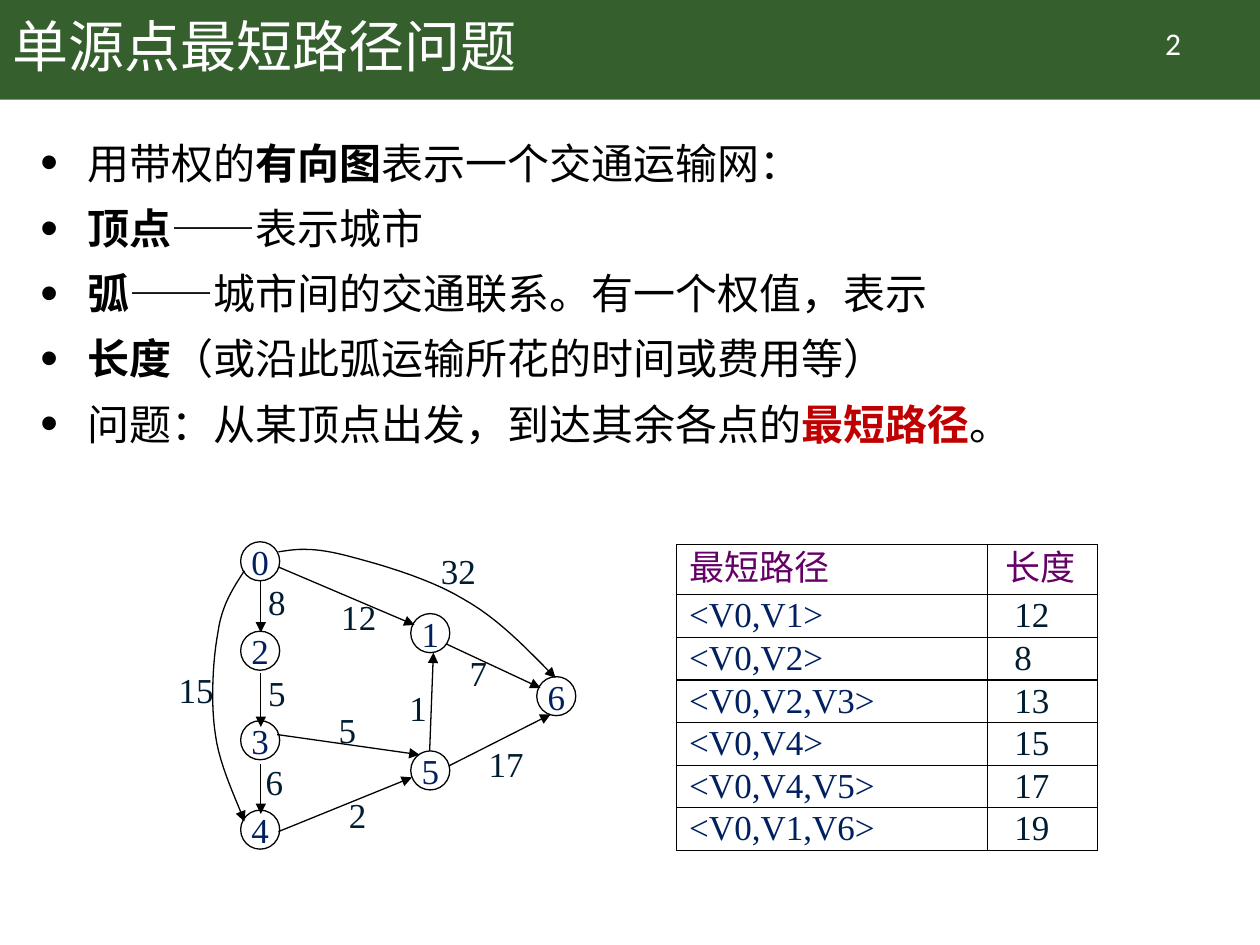
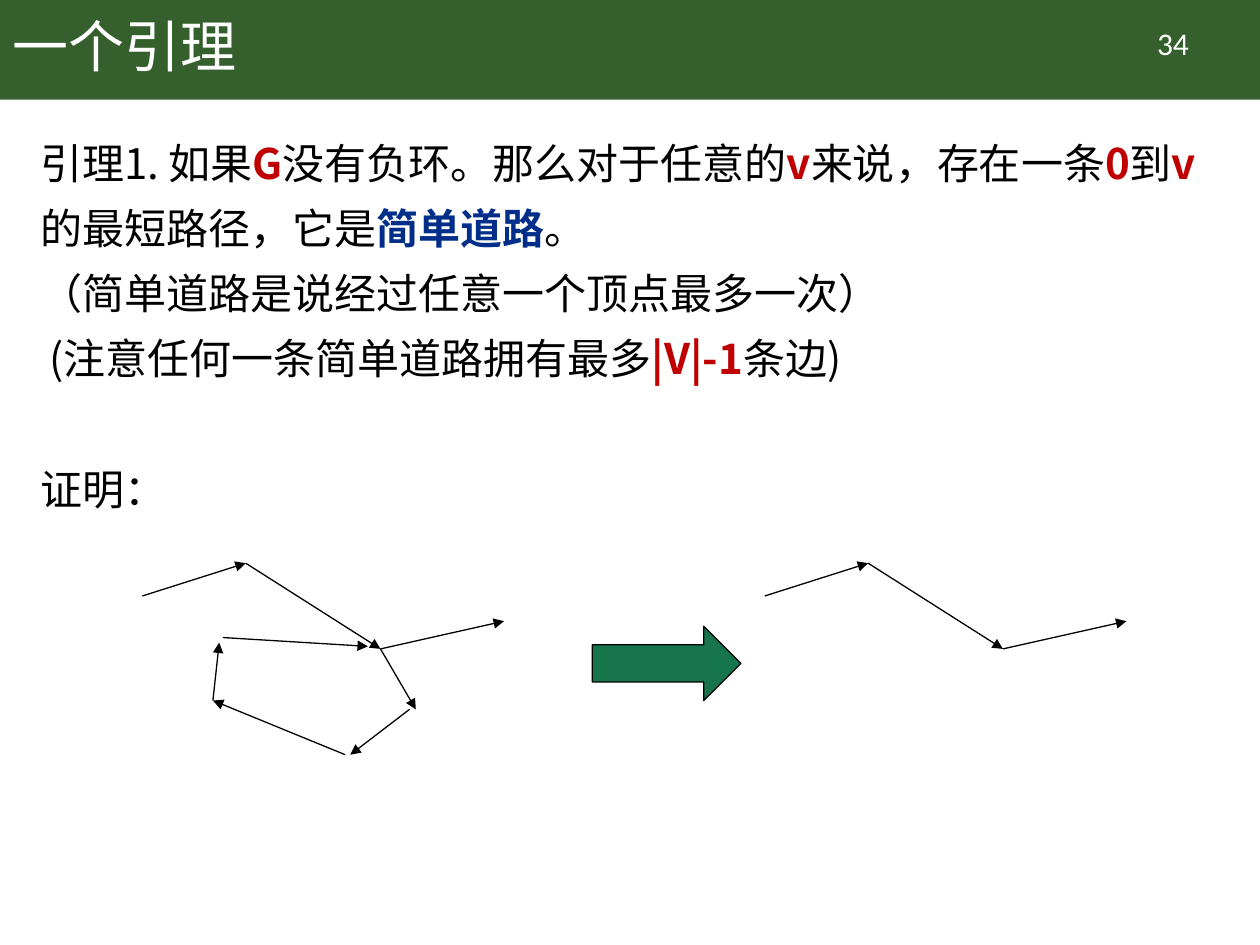
from lxml import etree
from pptx import Presentation
from pptx.dml.color import RGBColor
from pptx.enum.shapes import MSO_CONNECTOR, MSO_SHAPE
from pptx.enum.text import MSO_ANCHOR, MSO_AUTO_SIZE, PP_ALIGN
from pptx.oxml.ns import qn
from pptx.util import Inches, Pt

STRAIGHT = MSO_CONNECTOR.STRAIGHT
RECTANGLE, OVAL, RIGHT_ARROW = MSO_SHAPE.RECTANGLE, MSO_SHAPE.OVAL, MSO_SHAPE.RIGHT_ARROW
MIDDLE, TOP = MSO_ANCHOR.MIDDLE, MSO_ANCHOR.TOP
LEFT, CENTER = PP_ALIGN.LEFT, PP_ALIGN.CENTER
NO_AUTOFIT = MSO_AUTO_SIZE.NONE

# Shared style
COLORS = {"band": "365F2E", "white": "FFFFFF", "black": "000000", "red": "C00000",
          "blue": "002E89", "navy": "002060", "ink": "001C30", "purple": "660066",
          "arrow": "16754D"}
CJK, SERIF, SANS = "Noto Sans CJK SC", "Times New Roman", "Calibri"
SLIDE_WIDTH, SLIDE_HEIGHT, BAND_HEIGHT = 10, 7.5, 0.79
TITLE_BOX = (0, 0, 8.62, BAND_HEIGHT)
BODY_BOX = (0.22, 0.88, 9.57, 6.47)
NUMBER_BOX = (8.71, 0.14, 1.2, 0.4)
BODY_PITCH = 37.3
LINE_WIDTH = 0.75

# Slide 1 content: a run is plain text or (text, colour) for bold
PROBLEM_TITLE, PROBLEM_NUMBER = "单源点最短路径问题", "2"
PROBLEM_BODY = [
    ["用带权的", ("有向图", "black"), "表示一个交通运输网："],
    [("顶点", "black"), "——表示城市"],
    [("弧", "black"), "——城市间的交通联系。有一个权值，表示"],
    [("长度", "black"), "（或沿此弧运输所花的时间或费用等）"],
    ["问题：从某顶点出发，到达其余各点的", ("最短路径", "red"), "。"],
]
PATH_TABLE = [
    ("最短路径", "长度"),
    ("<V0,V1>", "12"), ("<V0,V2>", "8"), ("<V0,V2,V3>", "13"),
    ("<V0,V4>", "15"), ("<V0,V4,V5>", "17"), ("<V0,V1,V6>", "19"),
]
TABLE_BOX = (5.37, 4.32, 3.34, 2.43)
TABLE_COLUMNS = (2.47, 0.87)
HEADER_HEIGHT = 0.4

NODE_SIZE = 0.31
COLUMN_LEFT, COLUMN_TOP, COLUMN_STEP = 1.91, 4.3, 0.71
VERTICES = {name: (COLUMN_LEFT, COLUMN_TOP + row * COLUMN_STEP)
            for row, name in enumerate("0234")}
VERTICES.update({"1": (3.26, 4.87), "5": (3.26, 5.96), "6": (4.26, 5.37)})
# (start, end, weight, label corner)
STRAIGHT_EDGES = [
    ((2.07, 4.61), (2.07, 5.02), "8", (2.03, 4.56)),
    ((2.07, 5.34), (2.07, 5.77), "5", (2.03, 5.28)),
    ((2.07, 6.06), (2.07, 6.46), "6", (2.01, 5.99)),
    ((2.21, 4.5), (3.29, 4.96), "12", (2.61, 4.68)),
    ((3.54, 5.11), (4.29, 5.46), "7", (3.63, 5.12)),
    ((2.21, 6.6), (3.27, 6.17), "2", (2.67, 6.25)),
    ((3.56, 6.08), (4.37, 5.67), "17", (3.78, 5.84)),
    ((3.41, 5.96), (3.44, 5.18), "1", (3.15, 5.4)),
    ((2.2, 5.83), (3.33, 5.99), "5", (2.59, 5.57)),
]
# (chained Bezier points, weight, label corner)
CURVED_EDGES = [
    ([(1.94, 4.53), (1.85, 4.67), (1.76, 4.8), (1.73, 5.02), (1.69, 5.23),
      (1.67, 5.58), (1.71, 5.83), (1.74, 6.08), (1.9, 6.4), (1.94, 6.52)],
     "15", (1.32, 5.26)),
    ([(2.21, 4.38), (2.34, 4.36), (2.46, 4.34), (2.71, 4.4), (2.95, 4.46),
      (3.39, 4.58), (3.67, 4.75), (3.96, 4.91), (4.18, 5.15), (4.41, 5.38)],
     "32", (3.4, 4.31)),
]

# Slide 2 content
LEMMA_TITLE, LEMMA_NUMBER = "一个引理", "34"
LEMMA_BODY = [
    ["引理1. 如果", ("G", "red"), "没有负环。那么对于任意的", ("v", "red"),
     "来说，存在一条", ("0", "red"), "到", ("v", "red"), "的最短路径，它是",
     ("简单道路", "blue"), "。\v（简单道路是说经过任意一个顶点最多一次）"],
    [" (注意任何一条简单道路拥有最多", ("|V|-1", "red"), "条边)"],
    ["证明："],
]
SIMPLE_PATH = [(1.13, 4.73), (1.95, 4.47), (3.02, 5.15), (4, 4.93)]
CYCLE = [((3.02, 5.15), (3.3, 5.63)), ((3.25, 5.63), (2.78, 5.99)),
         ((2.74, 5.99), (1.69, 5.56)), ((1.69, 5.56), (1.74, 5.1)),
         ((1.77, 5.06), (2.92, 5.13))]
RESULT_SHIFT = 4.94
ARROW_BOX = (4.7, 4.97, 1.18, 0.59)


def color(name):
    return RGBColor.from_string(COLORS[name])


def inches(values):
    return [Inches(value) for value in values]


def style(paragraph, size, color_name, font_name, align=LEFT):
    paragraph.alignment = align
    font = paragraph.font
    font.size, font.name, font.bold = Pt(size), font_name, False
    font.color.rgb = color(color_name)
    properties = paragraph._p.pPr.find(qn("a:defRPr"))
    etree.SubElement(properties, qn("a:ea")).set("typeface", CJK)


def place(shape, box):
    shape.left, shape.top, shape.width, shape.height = inches(box)


def outline(shape):
    shape.line.color.rgb = color("black")
    shape.line.width = Pt(LINE_WIDTH)


def add_arrowhead(shape):
    etree.SubElement(shape.line._get_or_add_ln(), qn("a:tailEnd")).set("type", "triangle")


def add_shape(slide, kind, box, fill=None):
    shape = slide.shapes.add_shape(kind, *inches(box))
    shape.shadow.inherit = False
    if fill:
        shape.fill.solid()
        shape.fill.fore_color.rgb = color(fill)
    else:
        shape.fill.background()
    return shape


def add_text(slide, text, box, size, color_name, font_name, align=LEFT, wrap=False):
    frame = slide.shapes.add_textbox(*inches(box)).text_frame
    frame.word_wrap = wrap
    frame.text = text
    style(frame.paragraphs[0], size, color_name, font_name, align)


def add_arrow(slide, start, end):
    connector = slide.shapes.add_connector(STRAIGHT, *inches(start + end))
    outline(connector)
    add_arrowhead(connector)
    etree.SubElement(connector.element.spPr, qn("a:effectLst"))


def bezier_points(controls, steps=12):
    points = [controls[0]]
    for first in range(0, len(controls) - 1, 3):
        a, b, c, d = controls[first:first + 4]
        for step in range(1, steps + 1):
            t = step / steps
            u = 1 - t
            points.append(tuple(u**3 * a[i] + 3 * u**2 * t * b[i] + 3 * u * t**2 * c[i]
                                + t**3 * d[i] for i in (0, 1)))
    return points


def add_curve(slide, controls):
    points = [inches(point) for point in bezier_points(controls)]
    builder = slide.shapes.build_freeform(*points[0])
    builder.add_line_segments(points[1:], close=False)
    curve = builder.convert_to_shape()
    curve.shadow.inherit = False
    curve.fill.background()
    outline(curve)
    add_arrowhead(curve)


def set_bullet(paragraph, visible):
    properties = paragraph._p.get_or_add_pPr()
    default_font = properties.find(qn("a:defRPr"))
    if visible:
        size = etree.Element(qn("a:buSzPct"), val="120000")
        bullet = etree.Element(qn("a:buChar"), char="•")
        default_font.addprevious(size)
        default_font.addprevious(bullet)
    else:
        properties.set("marL", "0")
        properties.set("indent", "0")
        default_font.addprevious(etree.Element(qn("a:buNone")))


def fill_body(frame, content, font_name, bullets):
    frame.auto_size = NO_AUTOFIT
    frame.vertical_anchor = TOP
    frame.margin_top, frame.margin_right = Inches(0.09), Inches(0.15)
    for index, runs in enumerate(content):
        paragraph = frame.add_paragraph() if index else frame.paragraphs[0]
        paragraph.line_spacing = Pt(BODY_PITCH)
        paragraph.space_before = paragraph.space_after = Pt(0)
        style(paragraph, 24, "black", font_name)
        set_bullet(paragraph, bullets)
        for item in runs:
            text, emphasis = (item, None) if isinstance(item, str) else item
            for position, part in enumerate(text.split("\v")):
                if position:
                    paragraph.add_line_break()
                run = paragraph.add_run()
                run.text = part
                if emphasis:
                    run.font.bold = True
                    run.font.color.rgb = color(emphasis)


def prepare_layout(presentation):
    layout = presentation.slide_layouts[1]
    place(layout.placeholders[0], TITLE_BOX)
    place(layout.placeholders[1], BODY_BOX)
    return layout


def add_slide(presentation, layout, title, number, body, font_name, bullets):
    slide = presentation.slides.add_slide(layout)
    if len(presentation.slides) == 1:  # the band belongs to the layout
        band = add_shape(slide, RECTANGLE, (0, 0, SLIDE_WIDTH, BAND_HEIGHT), "band")
        band.line.fill.background()
        layout.shapes.element.insert(2, band.element)
    frame = slide.shapes.title.text_frame
    frame.text = title
    frame.auto_size, frame.vertical_anchor = NO_AUTOFIT, MIDDLE
    frame.paragraphs[0].line_spacing = 0.9
    style(frame.paragraphs[0], 32, "white", CJK)
    fill_body(slide.placeholders[1].text_frame, body, font_name, bullets)
    add_text(slide, number, NUMBER_BOX, 18, "white", SANS, CENTER, wrap=True)
    return slide


def add_borders(cell):
    properties = cell._tc.get_or_add_tcPr()
    for index, side in enumerate(("lnL", "lnR", "lnT", "lnB")):
        border = etree.Element(qn("a:" + side), w=str(Pt(LINE_WIDTH)))
        fill = etree.SubElement(border, qn("a:solidFill"))
        etree.SubElement(fill, qn("a:srgbClr")).set("val", COLORS["black"])
        properties.insert(index, border)


def add_path_table(slide):
    row_count = len(PATH_TABLE)
    table = slide.shapes.add_table(row_count, 2, *inches(TABLE_BOX)).table
    table.first_row = table.horz_banding = False
    for column, width in zip(table.columns, TABLE_COLUMNS):
        column.width = Inches(width)
    row_height = (TABLE_BOX[3] - HEADER_HEIGHT) / (row_count - 1)
    for row, values in enumerate(PATH_TABLE):
        table.rows[row].height = Inches(row_height if row else HEADER_HEIGHT)
        for column, text in enumerate(values):
            cell = table.cell(row, column)
            cell.text = text
            cell.fill.background()
            cell.vertical_anchor = MIDDLE
            cell.margin_top = cell.margin_bottom = cell.margin_right = 0
            cell.margin_left = Inches((0.1, 0.21 if row else 0.14)[column])
            paragraph = cell.text_frame.paragraphs[0]
            if row:
                style(paragraph, 20, ("navy", "ink")[column], SERIF)
            else:
                paragraph.line_spacing = Pt(24)
                style(paragraph, 20, "purple", CJK)
            add_borders(cell)


def add_graph(slide):
    for name, corner in VERTICES.items():
        node = add_shape(slide, OVAL, corner + (NODE_SIZE, NODE_SIZE))
        outline(node)
        frame = node.text_frame
        frame.word_wrap, frame.vertical_anchor = False, MIDDLE
        frame.margin_left = frame.margin_right = frame.margin_top = frame.margin_bottom = 0
        frame.text = name
        style(frame.paragraphs[0], 20, "navy", SERIF, CENTER)
    for start, end, *_ in STRAIGHT_EDGES:
        add_arrow(slide, start, end)
    for controls, *_ in CURVED_EDGES:
        add_curve(slide, controls)
    for *_, weight, corner in STRAIGHT_EDGES + CURVED_EDGES:
        width = 0.2 + 0.14 * len(weight)
        add_text(slide, weight, corner + (width, 0.43), 20, "ink", SERIF)


def add_proof(slide):
    # A walk with a cycle becomes a simple path
    for shift in (0, RESULT_SHIFT):
        points = [(x + shift, y) for x, y in SIMPLE_PATH]
        for start, end in zip(points, points[1:]):
            add_arrow(slide, start, end)
    for start, end in CYCLE:
        add_arrow(slide, start, end)
    outline(add_shape(slide, RIGHT_ARROW, ARROW_BOX, "arrow"))


def main():
    presentation = Presentation()
    presentation.slide_width, presentation.slide_height = inches((SLIDE_WIDTH, SLIDE_HEIGHT))
    layout = prepare_layout(presentation)

    problem = add_slide(presentation, layout, PROBLEM_TITLE, PROBLEM_NUMBER,
                        PROBLEM_BODY, SERIF, bullets=True)
    add_path_table(problem)
    add_graph(problem)

    lemma = add_slide(presentation, layout, LEMMA_TITLE, LEMMA_NUMBER,
                      LEMMA_BODY, CJK, bullets=False)
    proof_heading = lemma.placeholders[1].text_frame.paragraphs[-1]
    proof_heading.space_before = Pt(BODY_PITCH)
    add_proof(lemma)
    presentation.save("out.pptx")


if __name__ == "__main__":
    main()
